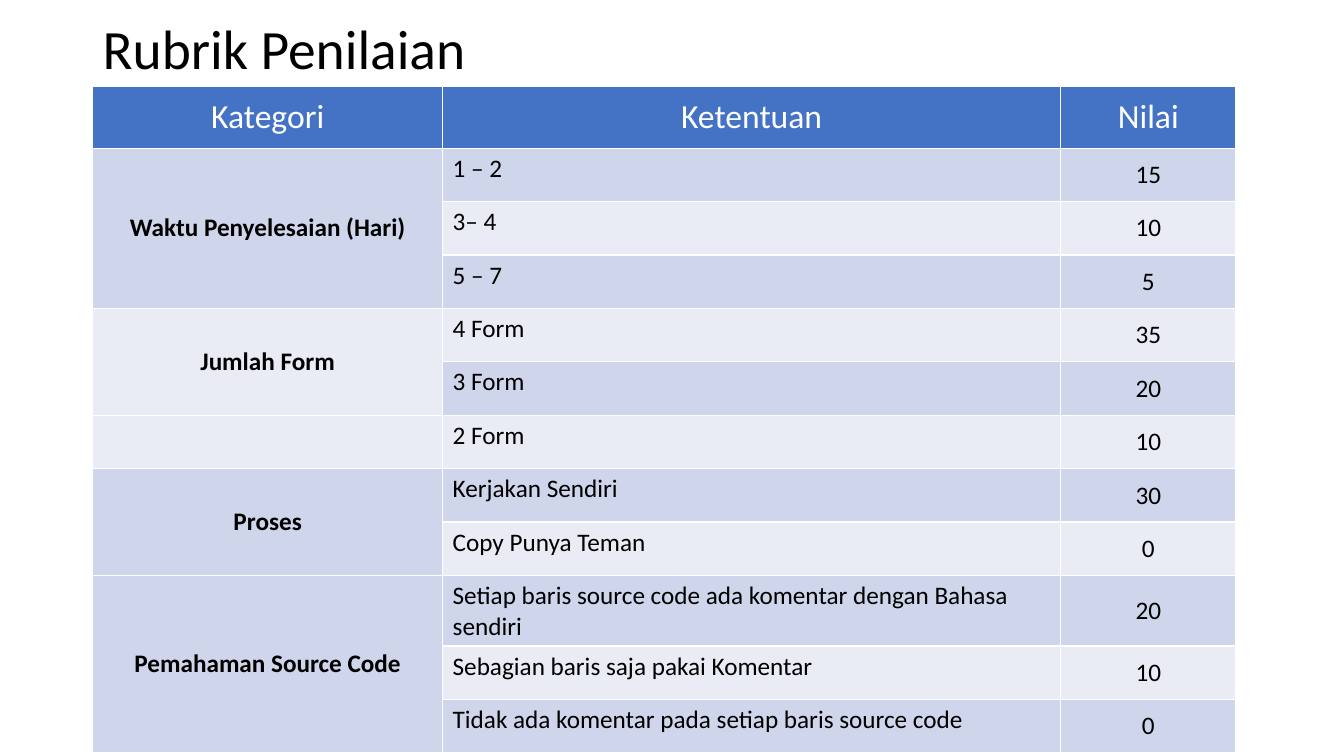
from lxml import etree
from pptx import Presentation
from pptx.dml.color import RGBColor
from pptx.enum.text import MSO_ANCHOR, PP_ALIGN
from pptx.oxml.ns import qn
from pptx.util import Inches, Pt

CENTER, LEFT = PP_ALIGN.CENTER, PP_ALIGN.LEFT
MIDDLE, TOP = MSO_ANCHOR.MIDDLE, MSO_ANCHOR.TOP
FONT = "Calibri"
COLORS = {
    "text": "000000",
    "white": "FFFFFF",
    "header": "4472C4",
    "odd": "CFD5EA",
    "even": "E9EBF5",
}
HEADINGS = ["Kategori", "Ketentuan", "Nilai"]
COLUMN_WIDTHS = [3.47, 6.13, 1.74]
HEADER_HEIGHT, ROW_HEIGHT = 0.61, 0.53

# Category, then its criteria with their scores
RUBRIC = [
    ("Waktu Penyelesaian (Hari)", [("1 – 2", 15), ("3– 4", 10), ("5 – 7", 5)]),
    ("Jumlah Form", [("4 Form", 35), ("3 Form", 20)]),
    ("", [("2 Form", 10)]),
    ("Proses", [("Kerjakan Sendiri", 30), ("Copy Punya Teman", 0)]),
    ("Pemahaman Source Code", [
        ("Setiap baris source code ada komentar dengan Bahasa sendiri", 20),
        ("Sebagian baris saja pakai Komentar", 10),
        ("Tidak ada komentar pada setiap baris source code", 0),
    ]),
]


def write(frame, text, size, color="text", bold=False, align=LEFT):
    paragraph = frame.paragraphs[0]
    paragraph.alignment = align
    run = paragraph.add_run()
    run.text = text
    font_format = {"name": FONT, "size": Pt(size), "bold": bold}
    for attribute, value in font_format.items():
        setattr(run.font, attribute, value)
    run.font.color.rgb = RGBColor.from_string(COLORS[color])
    return paragraph


def style_cell(cell, fill, anchor=MIDDLE):
    """Give a cell thin white borders, a solid fill and a vertical anchor."""
    properties = cell._tc.get_or_add_tcPr()
    for side in ("lnL", "lnR", "lnT", "lnB"):
        line = etree.SubElement(properties, qn(f"a:{side}"), w=str(Pt(1)))
        solid = etree.SubElement(line, qn("a:solidFill"))
        etree.SubElement(solid, qn("a:srgbClr"), val=COLORS["white"])
    cell.fill.solid()
    cell.fill.fore_color.rgb = RGBColor.from_string(COLORS[fill])
    cell.vertical_anchor = anchor


prs = Presentation()
prs.slide_width, prs.slide_height = Inches(13.33), Inches(7.5)
slide = prs.slides.add_slide(prs.slide_layouts[6])

title = slide.shapes.add_textbox(Inches(0.92), Inches(0.24), Inches(11.5), Inches(0.54))
title.text_frame.word_wrap = True
title.text_frame.vertical_anchor = MIDDLE
write(title.text_frame, "Rubrik Penilaian", 39.6).line_spacing = 0.9

criteria_count = sum(len(criteria) for _, criteria in RUBRIC)
rubric = slide.shapes.add_table(
    criteria_count + 1, len(HEADINGS), Inches(0.92), Inches(0.86),
    Inches(sum(COLUMN_WIDTHS)), Inches(HEADER_HEIGHT + criteria_count * ROW_HEIGHT),
).table
for column, width in zip(rubric.columns, COLUMN_WIDTHS):
    column.width = Inches(width)
for index, row in enumerate(rubric.rows):
    row.height = Inches(ROW_HEIGHT if index else HEADER_HEIGHT)

for index, heading in enumerate(HEADINGS):
    cell = rubric.cell(0, index)
    style_cell(cell, "header")
    write(cell.text_frame, heading, 24, "white", align=CENTER)

row_index = 1
for category, criteria in RUBRIC:
    first_row = row_index
    category_band = "odd" if first_row % 2 else "even"
    for criterion, score in criteria:
        band = "odd" if row_index % 2 else "even"
        category_cell, criterion_cell, score_cell = rubric.rows[row_index].cells
        style_cell(category_cell, category_band)
        style_cell(criterion_cell, band, TOP)
        style_cell(score_cell, band)
        write(criterion_cell.text_frame, criterion, 18)
        write(score_cell.text_frame, str(score), 18, align=CENTER)
        row_index += 1
    category_cell = rubric.cell(first_row, 0)
    if len(criteria) > 1:
        category_cell.merge(rubric.cell(row_index - 1, 0))
    if category:
        write(category_cell.text_frame, category, 18, bold=True, align=CENTER)

prs.save("out.pptx")
